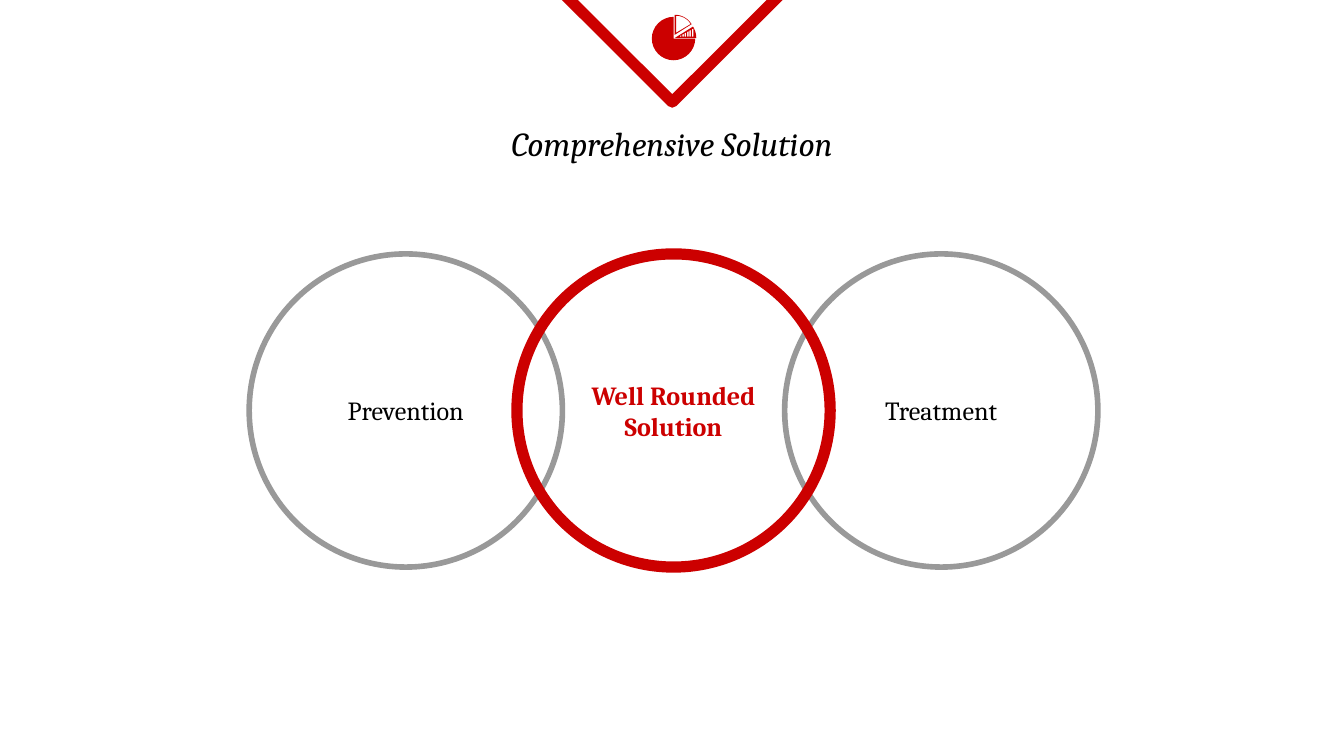
import math
import pptx
import pptx.util
import pptx.dml.color
import pptx.enum.shapes
import pptx.enum.text

Cm, Pt = pptx.util.Cm, pptx.util.Pt
RGBColor = pptx.dml.color.RGBColor
MSO_SHAPE = pptx.enum.shapes.MSO_SHAPE
MSO_ANCHOR = pptx.enum.text.MSO_ANCHOR
PP_ALIGN = pptx.enum.text.PP_ALIGN

RED = RGBColor(0xCC, 0x00, 0x00)
GREY = RGBColor(0x99, 0x99, 0x99)
BLACK = RGBColor(0x00, 0x00, 0x00)
FONT = "Cambria"

# Content: (text, column, line colour, line width, text colour, bold)
TITLE = "Comprehensive Solution"
CIRCLES = [
    ("Prevention", 0, GREY, 3, BLACK, False),
    ("Treatment", 2, GREY, 3, BLACK, False),
    ("Well Rounded Solution", 1, RED, 6, RED, True),
]
CIRCLE_LEFT, CIRCLE_TOP, DIAMETER, PITCH = 4.71, 4.8, 5.92, 5.06

prs = pptx.Presentation()
prs.slide_width, prs.slide_height = Cm(25.4), Cm(14.29)
s = prs.slides.add_slide(prs.slide_layouts[5])


def set_text(shape, text, size, color, anchor, bold=False, italic=False):
    tf = shape.text_frame
    tf.text = text
    tf.word_wrap = True
    tf.auto_size = pptx.enum.text.MSO_AUTO_SIZE.NONE
    tf.vertical_anchor = anchor
    tf.margin_left = tf.margin_right = tf.margin_top = tf.margin_bottom = Cm(0.25)
    p = tf.paragraphs[0]
    p.alignment = PP_ALIGN.CENTER
    p.font.name, p.font.size = FONT, Pt(size)
    p.font.bold, p.font.italic = bold, italic
    p.font.color.rgb = color


def add_outline(kind, left, top, width, height, color, weight):
    sp = s.shapes.add_shape(kind, Cm(left), Cm(top), Cm(width), Cm(height))
    sp.shadow.inherit = False
    sp.fill.background()
    sp.line.color.rgb = color
    sp.line.width = Pt(weight)
    return sp


def sector(x, y, radius, start, end):
    """Points of a pie sector, angles in degrees clockwise from the right."""
    steps = 24
    angles = [math.radians(start + (end - start) * i / steps) for i in range(steps + 1)]
    return [(x, y)] + [(x + radius * math.cos(a), y + radius * math.sin(a)) for a in angles]


def add_contours(contours):
    """One red freeform; contours after the first are holes."""
    contours = [[(Cm(x), Cm(y)) for x, y in points] for points in contours]
    builder = s.shapes.build_freeform(*contours[0][0])
    builder.add_line_segments(contours[0][1:])
    for points in contours[1:]:
        builder.move_to(*points[0])
        builder.add_line_segments(points[1:])
    sp = builder.convert_to_shape()
    sp.shadow.inherit = False
    sp.fill.solid()
    sp.fill.fore_color.rgb = RED
    sp.line.fill.background()


# Downward chevron at the top edge
add_outline(MSO_SHAPE.ISOSCELES_TRIANGLE, 10.62, -0.15, 4.17, 2.08, RED, 6).rotation = 180

# Title
title = s.shapes.title
title.left, title.top, title.width, title.height = Cm(2.87), Cm(2.08), Cm(19.66), Cm(1.5)
set_text(title, TITLE, 18, BLACK, MSO_ANCHOR.TOP, italic=True)

# Overlapping circles, the middle one in front
for text, column, line, weight, color, bold in CIRCLES:
    sp = add_outline(MSO_SHAPE.OVAL, CIRCLE_LEFT + column * PITCH, CIRCLE_TOP,
                     DIAMETER, DIAMETER, line, weight)
    set_text(sp, text, 14, color, MSO_ANCHOR.MIDDLE, bold=bold)

# Pie icon: body, striped slice, outlined slice
BAR_BASE, BAR_ORIGIN, BAR_SLOPE, BAR_WIDTH = 0.69, 12.83, 0.55, 0.03
bars = []
for i in range(6):
    x0 = 12.85 + 0.045 * i
    x1 = x0 + BAR_WIDTH
    y0, y1 = (BAR_BASE - BAR_SLOPE * (x - BAR_ORIGIN) for x in (x0, x1))
    bars.append([(x0, BAR_BASE), (x0, y0), (x1, y1), (x1, BAR_BASE)])

add_contours([sector(12.73, 0.73, 0.41, 0, 270)])
add_contours([sector(12.75, 0.72, 0.41, -32, 0)] + bars)
add_contours([sector(12.75, 0.66, 0.38, -90, -32), sector(12.78, 0.62, 0.32, -90, -31)])

prs.save("out.pptx")
